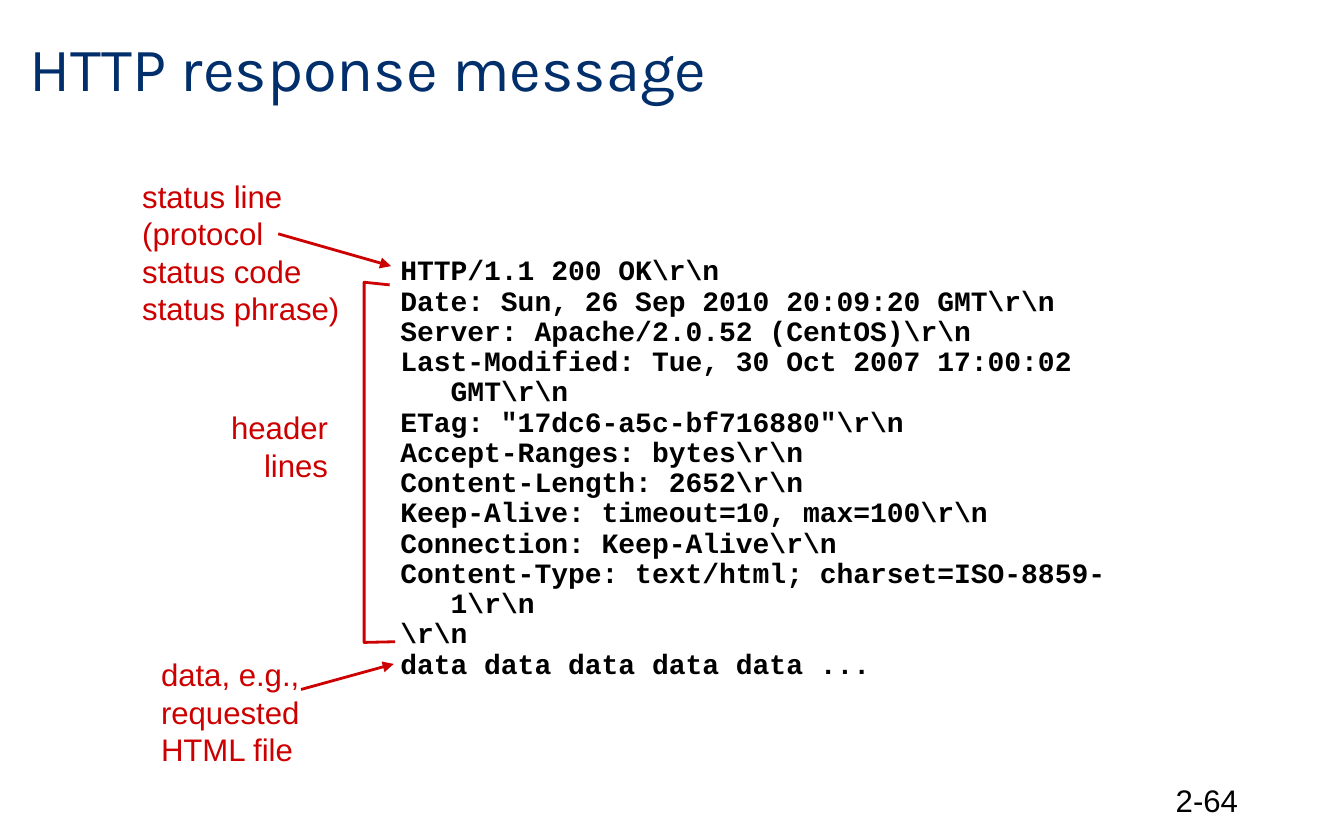
import lxml.etree
import pptx
import pptx.dml.color
import pptx.enum.shapes
import pptx.enum.text
import pptx.oxml.ns
import pptx.util

WIDTH = pptx.util.Inches(10)
HEIGHT = pptx.util.Inches(6.25)
RED = "CC0000"
BLACK = "000000"
LABEL_SIZE = 16.7
LINE_WIDTH = 1.5
LEFT = pptx.enum.text.PP_ALIGN.LEFT
RIGHT = pptx.enum.text.PP_ALIGN.RIGHT
MIDDLE = pptx.enum.text.MSO_ANCHOR.MIDDLE

RESPONSE = r"""HTTP/1.1 200 OK\r\n
Date: Sun, 26 Sep 2010 20:09:20 GMT\r\n
Server: Apache/2.0.52 (CentOS)\r\n
Last-Modified: Tue, 30 Oct 2007 17:00:02 GMT\r\n
ETag: "17dc6-a5c-bf716880"\r\n
Accept-Ranges: bytes\r\n
Content-Length: 2652\r\n
Keep-Alive: timeout=10, max=100\r\n
Connection: Keep-Alive\r\n
Content-Type: text/html; charset=ISO-8859-1\r\n
\r\n
data data data data data ..."""


def color(value):
    return pptx.dml.color.RGBColor.from_string(value)


def across(percent):
    return round(WIDTH * percent / 100)


def down(percent):
    return round(HEIGHT * percent / 100)


def point(position):
    return across(position[0]), down(position[1])


def area(left, top, width, height):
    return across(left), down(top), across(width), down(height)


def write(box, text, font, size, ink, align=LEFT, bold=False, spacing=None):
    box.text_frame.text = text
    for para in box.text_frame.paragraphs:
        para.alignment = align
        if spacing:
            para.line_spacing = spacing
        for span in para.runs:
            span.font.name = font
            span.font.size = pptx.util.Pt(size)
            span.font.bold = bold
            span.font.color.rgb = color(ink)


def add_title(page, text, place):
    title = page.shapes.title
    title.left, title.top, title.width, title.height = place
    title.text_frame.vertical_anchor = MIDDLE
    write(title, text, "Karla", 33, "002F6C", spacing=0.9)


def add_label(page, text, place, align=LEFT, ink=RED):
    box = page.shapes.add_textbox(*place)
    box.text_frame.word_wrap = False
    write(box, text, "Arial", LABEL_SIZE, ink, align)
    return box


def add_code(page, text, place):
    box = page.shapes.add_textbox(*place)
    box.text_frame.word_wrap = True
    write(box, text, "Courier New", 15, BLACK, bold=True, spacing=0.9)
    hang = across(3.75)
    for para in box.text_frame.paragraphs:
        properties = para._p.get_or_add_pPr()
        properties.set("marL", str(hang))
        properties.set("indent", str(-hang))


def style_line(shape):
    shape.line.color.rgb = color(RED)
    shape.line.width = pptx.util.Pt(LINE_WIDTH)


def add_arrow(page, start, end):
    straight = pptx.enum.shapes.MSO_CONNECTOR.STRAIGHT
    arrow = page.shapes.add_connector(straight, *point(start), *point(end))
    style_line(arrow)
    qn = pptx.oxml.ns.qn
    lxml.etree.SubElement(arrow.line._get_or_add_ln(), qn("a:tailEnd"), type="triangle")
    lxml.etree.SubElement(arrow._element.spPr, qn("a:effectLst"))


def add_bracket(page, corners):
    start, *others = [point(corner) for corner in corners]
    builder = page.shapes.build_freeform(*start)
    builder.add_line_segments(others, close=False)
    bracket = builder.convert_to_shape()
    bracket.shadow.inherit = False
    bracket.fill.background()
    style_line(bracket)


def main():
    deck = pptx.Presentation()
    deck.slide_width, deck.slide_height = WIDTH, HEIGHT
    page = deck.slides.add_slide(deck.slide_layouts[5])

    add_title(page, "HTTP response message", area(1.2, 1.6, 85.2, 13.76))
    number = add_label(page, "2-64", area(70.6, 92.64, 22.5, 5.28), RIGHT, BLACK)
    number.text_frame.word_wrap = True
    number.text_frame.vertical_anchor = MIDDLE

    add_label(page, "status line\n(protocol\nstatus code\nstatus phrase)",
              area(9.6, 20.32, 16.8, 19.52))
    add_arrow(page, (20.7, 27.84), (29.1, 31.68))
    add_bracket(page, [(29, 33.92), (27.1, 33.6), (27.1, 76.48), (29.4, 76.4)])
    add_label(page, "header\nlines", area(16.1, 47.84, 9.3, 10.56), RIGHT)
    add_arrow(page, (22.4, 82.08), (29.3, 79.04))
    add_label(page, "data, e.g.,\nrequested\nHTML file", area(11, 77.28, 13, 15.04))
    add_code(page, RESPONSE, area(28.8, 29.76, 57.5, 52.64))

    deck.save("out.pptx")


if __name__ == "__main__":
    main()
